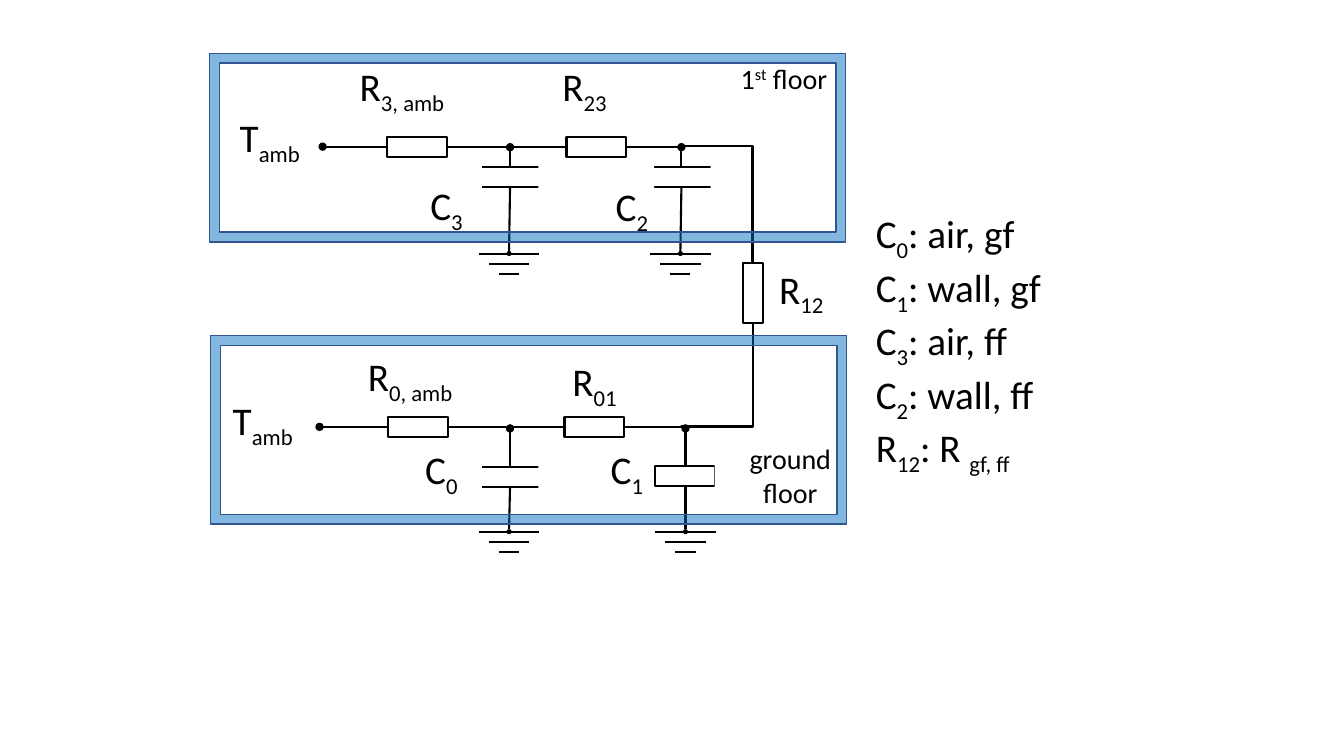
import pptx
import pptx.util
import pptx.dml.color
import pptx.enum.shapes
import pptx.enum.text
import pptx.oxml.ns
import lxml.etree

# Grid: every column and row is a tenth of an inch
COLUMNS, ROWS = 133.33, 75
CELL = 0.1
FONT = "Calibri"
COLORS = {"ink": "000000", "mask": "FFFFFF", "floor": "0070C0", "edge": "325491"}
BASELINES = {"_": "-25000", "^": "30000"}
PART_LENGTH, PART_DEPTH = 5.94, 1.98

SHAPE = pptx.enum.shapes.MSO_SHAPE
CONNECTOR = pptx.enum.shapes.MSO_CONNECTOR
ALIGN = pptx.enum.text.PP_ALIGN


def grid(cells):
    return pptx.util.Inches(cells * CELL)


def color(name):
    return pptx.dml.color.RGBColor.from_string(COLORS[name])


def add_child(parent, tag, **attributes):
    child = lxml.etree.SubElement(parent, pptx.oxml.ns.qn(tag))
    for name, value in attributes.items():
        child.set(name, value)
    return child


def draw_shape(shapes, kind, left, top, width, height, fill=None, line=None, weight=1.5):
    shape = shapes.add_shape(kind, grid(left), grid(top), grid(width), grid(height))
    shape.shadow.inherit = False
    if fill:
        shape.fill.solid()
        shape.fill.fore_color.rgb = color(fill)
    else:
        shape.fill.background()
    if line:
        shape.line.color.rgb = color(line)
        shape.line.width = pptx.util.Pt(weight)
    else:
        shape.line.fill.background()
    return shape


def draw_wire(shapes, x1, y1, x2, y2, node=False, kind=CONNECTOR.STRAIGHT):
    wire = shapes.add_connector(kind, grid(x1), grid(y1), grid(x2), grid(y2))
    wire.line.color.rgb = color("ink")
    wire.line.width = pptx.util.Pt(1.5)
    properties = wire._element.spPr
    if node:
        add_child(properties.find(pptx.oxml.ns.qn("a:ln")), "a:headEnd", type="oval")
    add_child(properties, "a:effectLst")
    return wire


def draw_elbow(shapes, left, top, width, height, bend, **turn):
    """Bent wire whose unturned frame is given; turn holds rotation and flip."""
    wire = draw_wire(shapes, left, top, left + width, top + height, kind=CONNECTOR.ELBOW)
    properties = wire._element.spPr
    frame = properties.find(pptx.oxml.ns.qn("a:xfrm"))
    for name, value in turn.items():
        frame.set(name, value)
    geometry = properties.find(pptx.oxml.ns.qn("a:prstGeom"))
    guides = geometry.find(pptx.oxml.ns.qn("a:avLst"))
    if guides is None:
        guides = add_child(geometry, "a:avLst")
    add_child(guides, "a:gd", name="adj1", fmla=f"val {bend}")


def draw_resistor(shapes, left, top, rotation=0):
    resistor = draw_shape(shapes, SHAPE.RECTANGLE, left, top,
                          PART_LENGTH, PART_DEPTH, line="ink")
    resistor.rotation = rotation


def draw_capacitor(shapes, left, top, mask_offsets):
    """Two plates: a box whose ends are covered by narrow masks."""
    group = shapes.add_group_shape().shapes
    draw_shape(group, SHAPE.RECTANGLE, left, top, PART_LENGTH, PART_DEPTH, line="ink")
    for offset in mask_offsets:
        draw_shape(group, SHAPE.RECTANGLE, left + offset, top - 0.2, 0.4, 2.4, fill="mask")


def draw_ground(shapes, center, top):
    group = shapes.add_group_shape().shapes
    for level, half in enumerate((3, 2, 1)):
        y = top + level
        draw_wire(group, center - half, y, center + half, y)
    draw_shape(group, SHAPE.OVAL, center - 0.25, top - 0.3, 0.5, 0.5, fill="ink")


def draw_text(shapes, left, top, width, height, lines, size=28, align=ALIGN.LEFT, wrap=False):
    """Bars split a line into runs; _ marks a subscript and ^ a superscript."""
    box = shapes.add_textbox(grid(left), grid(top), grid(width), grid(height))
    frame = box.text_frame
    frame.word_wrap = wrap
    frame.auto_size = pptx.enum.text.MSO_AUTO_SIZE.SHAPE_TO_FIT_TEXT
    for index, line in enumerate(lines):
        para = frame.add_paragraph() if index else frame.paragraphs[0]
        para.alignment = align
        para.font.name = FONT
        para.font.size = pptx.util.Pt(size)
        para.font.color.rgb = color("ink")
        for piece in line.split("|"):
            span = para.add_run()
            span.text = piece.lstrip("_^")
            if piece[0] in BASELINES:
                span._r.get_or_add_rPr().set("baseline", BASELINES[piece[0]])


def draw_floor(shapes, left, top):
    floor = draw_shape(shapes, SHAPE.FRAME, left, top, 63.1, 18.7, "floor", "edge", 1)
    floor.adjustments[0] = 0.052
    tint = floor._element.spPr.find(".//" + pptx.oxml.ns.qn("a:srgbClr"))
    add_child(tint, "a:alpha", val="49000")


def main():
    deck = pptx.Presentation()
    deck.slide_width, deck.slide_height = grid(COLUMNS), grid(ROWS)
    shapes = deck.slides.add_slide(deck.slide_layouts[6]).shapes

    # Branches to ground: node x, node y, plate left, plate top, ground x, ground y, masks
    both = (-0.2, 5.8)
    for node, node_y, left, top, center, ground_y, masks in (
        (68, 42.5, 65, 46.2, 68, 52.8, (5.9,)),
        (50.6, 42.5, 47.6, 46.3, 50.5, 52.8, both),
        (67.6, 14.6, 64.7, 16.6, 67.5, 25.2, both),
        (50.6, 14.6, 47.6, 16.6, 50.5, 25.2, both),
    ):
        draw_wire(shapes, node, node_y, node, top, node=True)
        draw_wire(shapes, center, ground_y - 0.3, node, top + PART_DEPTH)
        draw_capacitor(shapes, left, top, masks)
        draw_ground(shapes, center, ground_y)

    # Main line of each floor: y, start, first resistor, second resistor, end
    for y, start, first, second, end in (
        (14.55, 32, 38.4, 56.2, 67.3),
        (42.35, 31.7, 38.5, 56, 67.8),
    ):
        draw_wire(shapes, start, y, first, y, node=True)
        draw_wire(shapes, second, y, first + PART_LENGTH, y)
        draw_wire(shapes, end, y, second + PART_LENGTH, y)
        for left in (first, second):
            draw_resistor(shapes, left, y - PART_DEPTH / 2)

    # Link between the floors
    draw_resistor(shapes, 71.7, 28.1, rotation=270)
    draw_elbow(shapes, 65.3, 16.8, 11.6, 7.1, -200, rot="16200000", flipH="1")
    draw_elbow(shapes, 65.9, 33.7, 10.5, 7.1, 98200, rot="5400000")

    # Part labels
    for left, top, width, label in (
        (59.6, 43.7, 7.2, "C|_1"),
        (41.2, 43.7, 5.4, "C|_0"),
        (41.7, 17.5, 7.2, "C|_3"),
        (60.1, 17.6, 7.2, "C|_2"),
        (34.7, 5.7, 11.5, "R|_3, amb"),
        (54.8, 5.7, 6.8, "R|_23"),
        (35.5, 34.5, 11.5, "R|_0, amb"),
        (55.8, 35, 6.8, "R|_01"),
        (76.3, 25.8, 6.8, "R|_12"),
    ):
        draw_text(shapes, left, top, width, 5.7, [label])
    for left, top in ((22.8, 10.8), (22.1, 38.8)):
        draw_text(shapes, left, top, 9.9, 5.7, ["T|_amb"], wrap=True)

    # Floors and their names
    draw_text(shapes, 72.5, 5.6, 10.9, 4.4, ["1|^st| floor"], size=20)
    draw_text(shapes, 73.3, 43.3, 10.2, 7.7, ["ground", "floor"], size=20, align=ALIGN.CENTER)
    draw_floor(shapes, 20.8, 5.3)
    draw_floor(shapes, 20.9, 33.3)

    # Legend
    draw_text(shapes, 85.9, 20.3, 18.7, 24.6, [
        "C|_0|: air, gf",
        "C|_1|: wall, gf",
        "C|_3|: air, ff",
        "C|_2|: wall, ff",
        "R|_12|: R |_gf, ff",
    ])

    deck.save("out.pptx")


if __name__ == "__main__":
    main()
